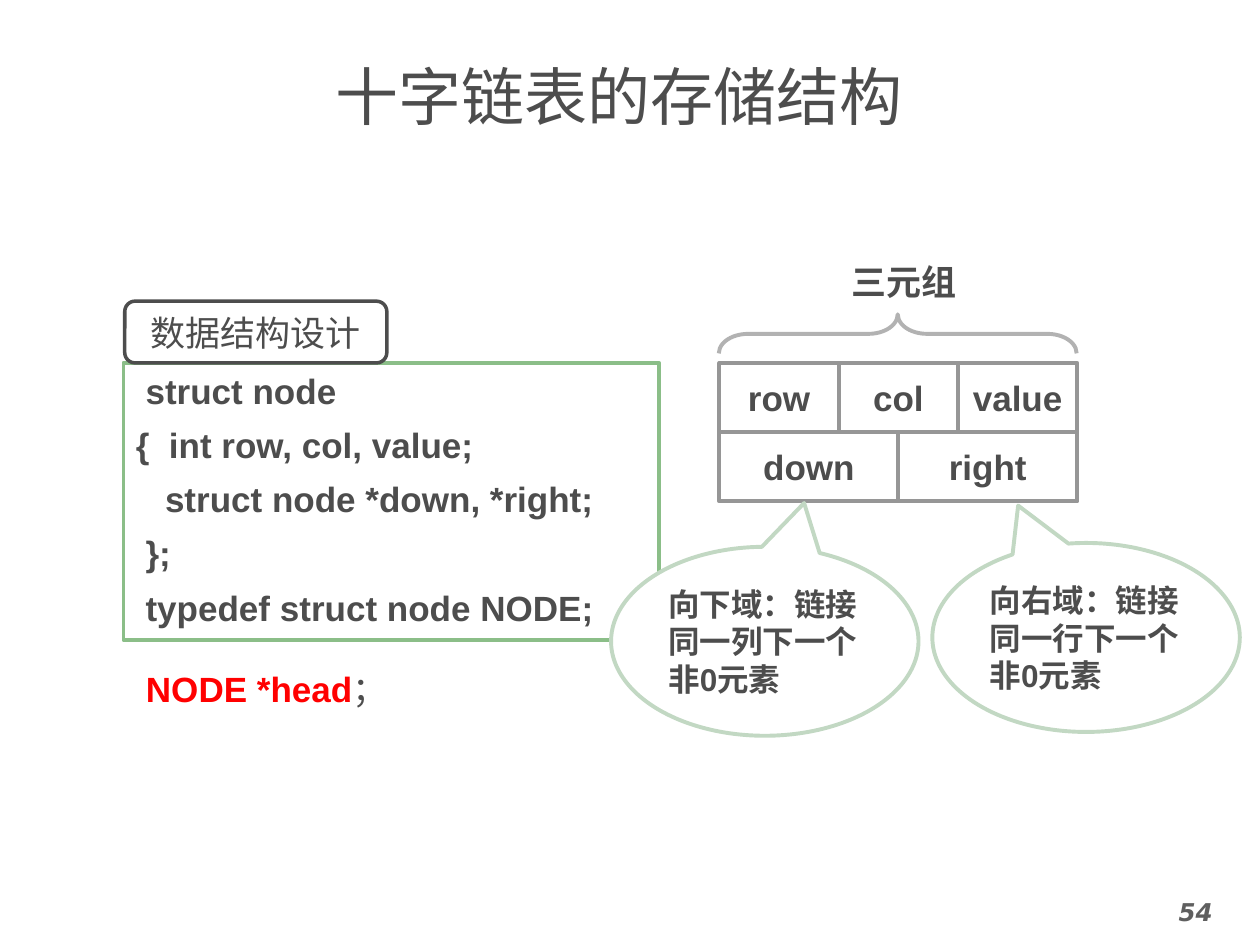
"""Build the slide on the storage structure of an orthogonal linked list."""
import pptx
import pptx.dml.color
import pptx.enum.shapes
import pptx.enum.text
import pptx.oxml
import pptx.oxml.ns
import pptx.util

RGB = pptx.dml.color.RGBColor
SHAPE = pptx.enum.shapes.MSO_SHAPE
ALIGN = pptx.enum.text.PP_ALIGN
ANCHOR = pptx.enum.text.MSO_ANCHOR
Pt = pptx.util.Pt

INK = RGB(0x4D, 0x4D, 0x4D)
NUMBER = RGB(0x5F, 0x5F, 0x5F)
RED = RGB(0xFF, 0x00, 0x00)
WHITE = RGB(0xFF, 0xFF, 0xFF)
GREEN = RGB(0x8B, 0xBE, 0x88)
PALE_GREEN = RGB(0xC2, 0xD8, 0xC3)
GREY = RGB(0x96, 0x96, 0x96)
LIGHT_GREY = RGB(0xB2, 0xB2, 0xB2)

prs = pptx.Presentation()
prs.slide_width = pptx.util.Inches(10)
prs.slide_height = pptx.util.Inches(7.5)
COL = prs.slide_width / 100
ROW = prs.slide_height / 75
s = prs.slides.add_slide(prs.slide_layouts[5])


def add_text(p, text, size=20, font="Arial", color=INK, bold=True, italic=False, align=ALIGN.LEFT):
    p.alignment = align
    r = p.add_run()
    r.text = text
    r.font.size = Pt(size)
    r.font.name = font
    r.font.bold = bold
    r.font.italic = italic
    r.font.color.rgb = color
    ea = pptx.oxml.parse_xml(f'<a:ea {pptx.oxml.ns.nsdecls("a")} typeface="Noto Sans CJK SC"/>')
    r.font._element.find(pptx.oxml.ns.qn("a:latin")).addnext(ea)


def add_box(kind, x, y, w, h, line=None, fill=None, weight=2.25, anchor=ANCHOR.MIDDLE, wrap=True):
    place = [int(v) for v in (x * COL, y * ROW, w * COL, h * ROW)]
    if kind is None:
        sp = s.shapes.add_textbox(*place)
    else:
        sp = s.shapes.add_shape(kind, *place)
        sp.shadow.inherit = False
        sp.line.color.rgb = line
        sp.line.width = Pt(weight)
        if fill is None:
            sp.fill.background()
        else:
            sp.fill.solid()
            sp.fill.fore_color.rgb = fill
    tf = sp.text_frame
    tf.word_wrap = wrap
    tf.vertical_anchor = anchor
    return sp


title = s.shapes.title
title.left, title.top = int(5.8 * COL), int(4.1 * ROW)
title.width, title.height = int(86.7 * COL), int(7 * ROW)
title.text_frame.vertical_anchor = ANCHOR.MIDDLE
add_text(title.text_frame.paragraphs[0], "十字链表的存储结构", size=36, font="DejaVu Sans Mono",
         bold=False, align=ALIGN.CENTER)

sp = add_box(None, 89.8, 70.7, 10.2, 4.3, anchor=ANCHOR.TOP)
add_text(sp.text_frame.paragraphs[0], "54", size=14, font="DejaVu Sans", color=NUMBER,
         italic=True, align=ALIGN.CENTER)

CODE = [
    " struct node",
    "{  int row, col, value;",
    "   struct node *down, *right;",
    " };",
    " typedef struct node NODE;",
]
TOP = 28.8
tf = add_box(SHAPE.RECTANGLE, 9.8, TOP, 42.5, 22, line=GREEN, anchor=ANCHOR.TOP).text_frame
for i, code_line in enumerate(CODE):
    p = tf.add_paragraph() if i else tf.paragraphs[0]
    p.space_before = Pt(7 if i else 0)
    add_text(p, code_line)

sp = add_box(None, 66.5, 20.2, 10.5, 4.4, anchor=ANCHOR.TOP, wrap=False)
add_text(sp.text_frame.paragraphs[0], "三元组", font="Courier New", align=ALIGN.CENTER)

NODE_LEFT, NODE_WIDTH, CELL_HEIGHT = 57.1, 28.4, 5.5
for i, fields in enumerate([["row", "col", "value"], ["down", "right"]]):
    width = NODE_WIDTH / len(fields)
    for j, field in enumerate(fields):
        sp = add_box(SHAPE.RECTANGLE, NODE_LEFT + j * width, TOP + i * CELL_HEIGHT, width,
                     CELL_HEIGHT, line=GREY, fill=WHITE, wrap=False)
        add_text(sp.text_frame.paragraphs[0], field, align=ALIGN.CENTER)

brace = add_box(SHAPE.LEFT_BRACE, 69.7, 12.3, 3.1, NODE_WIDTH, line=LIGHT_GREY)
brace.rotation = 90
brace.adjustments[0], brace.adjustments[1] = 0.75, 0.5

CALLOUTS = [
    (48.5, 43.4, 0.128, -0.732, "向下域", "：链接同一列下一个非0元素"),
    (74, 43.1, -0.221, -0.698, "向右域：", "链接同一行下一个非0元素"),
]
for x, y, tip_x, tip_y, name, meaning in CALLOUTS:
    sp = add_box(SHAPE.OVAL_CALLOUT, x, y, 24.4, 15, line=PALE_GREEN, fill=WHITE)
    sp.adjustments[0], sp.adjustments[1] = tip_x, tip_y
    p = sp.text_frame.paragraphs[0]
    add_text(p, name, size=18, font="Courier New")
    add_text(p, meaning, size=18)

sp = add_box(SHAPE.ROUNDED_RECTANGLE, 9.9, 23.9, 20.8, 4.9, line=INK, weight=2)
add_text(sp.text_frame.paragraphs[0], "数据结构设计", font="Noto Sans CJK SC", bold=False,
         align=ALIGN.CENTER)

p = add_box(None, 10.6, 52.5, 22.8, 4.4, anchor=ANCHOR.TOP).text_frame.paragraphs[0]
add_text(p, "NODE *head", color=RED)
add_text(p, "；", bold=False)

prs.save("out.pptx")
